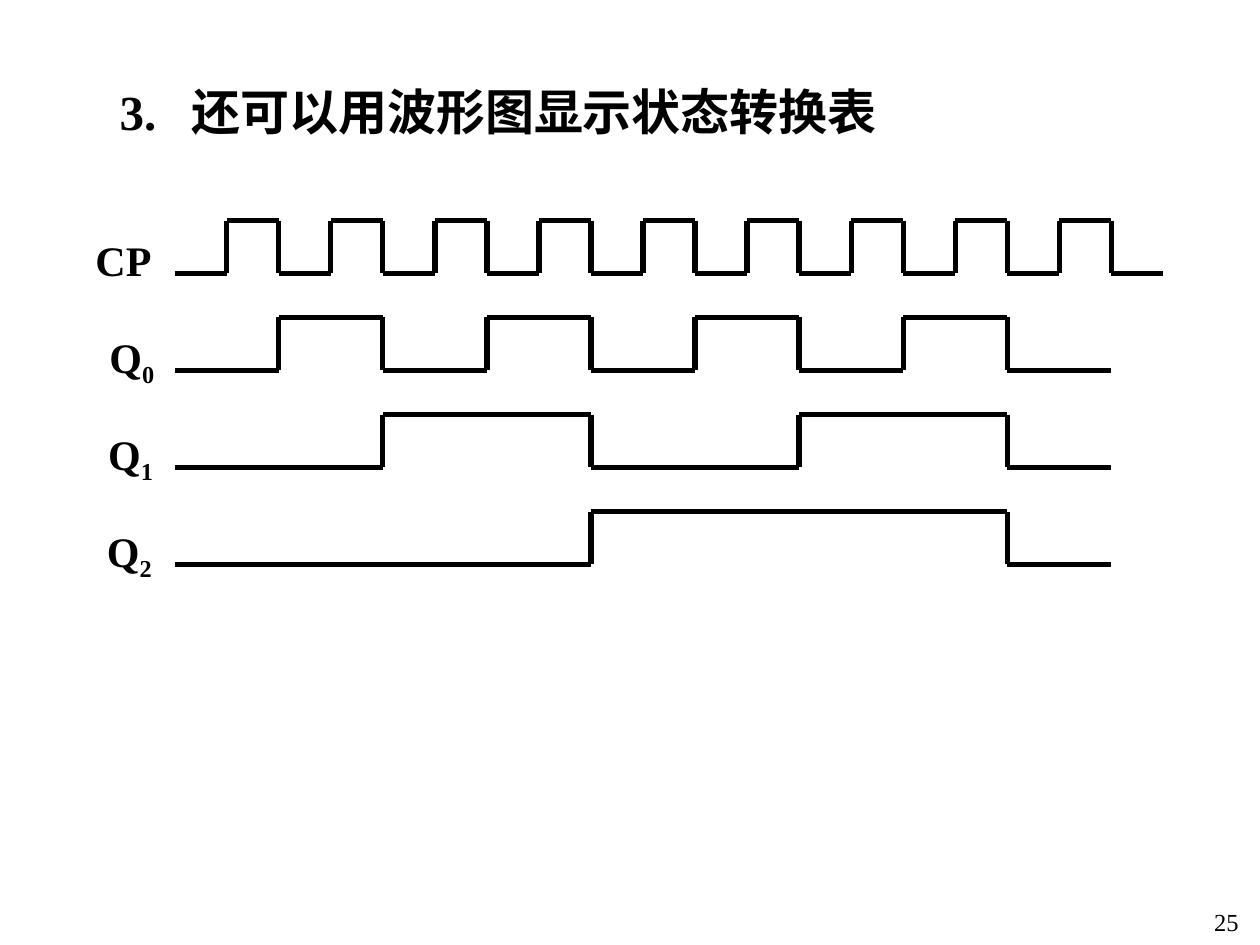
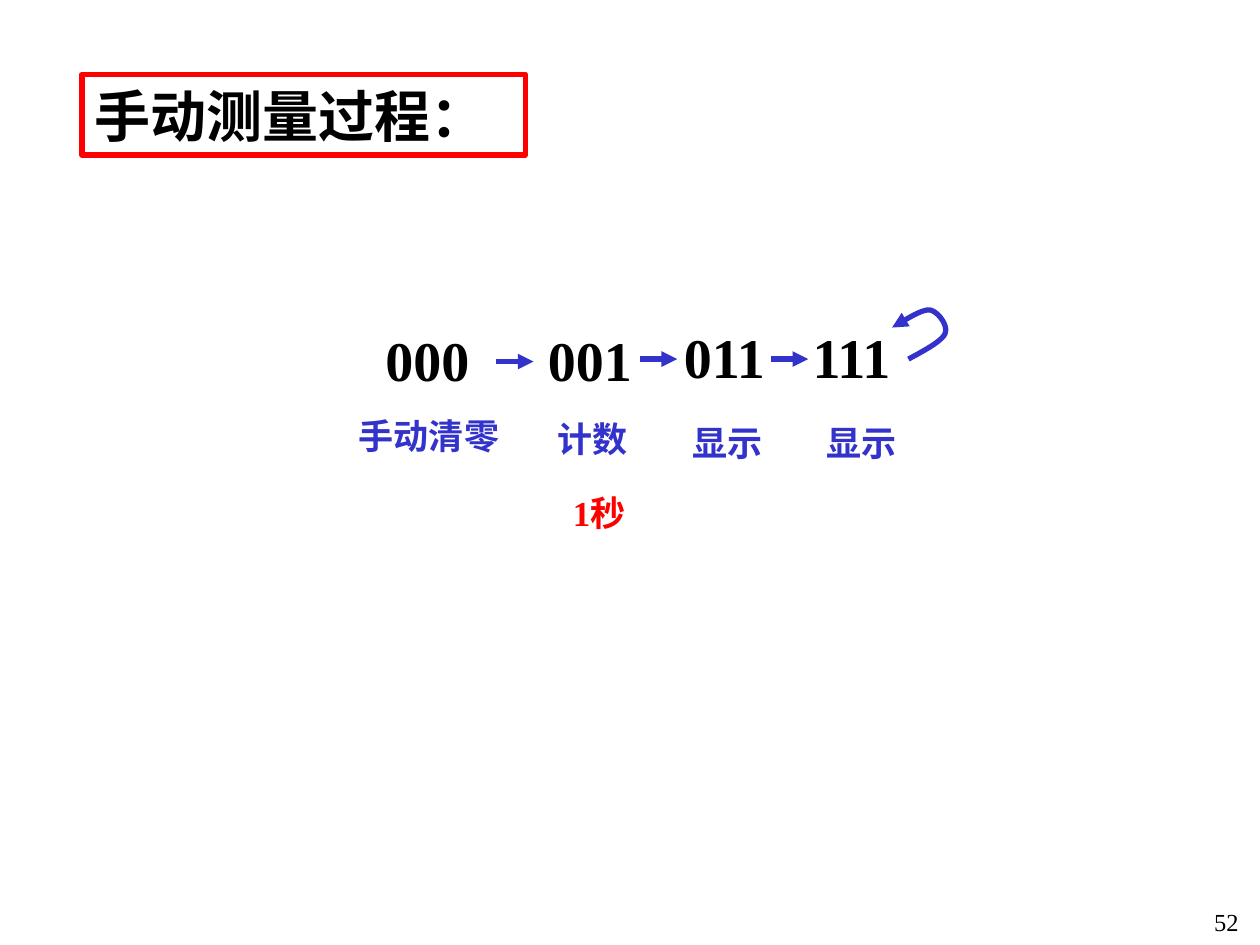
from collections.abc import Iterable
from dataclasses import dataclass

from lxml import etree
from pptx import Presentation
from pptx.dml.color import RGBColor
from pptx.enum.shapes import MSO_CONNECTOR as Connector
from pptx.enum.text import MSO_ANCHOR as Anchor, MSO_AUTO_SIZE as AutoSize, PP_ALIGN as Align
from pptx.oxml.ns import qn
from pptx.util import Inches, Pt

# Shared look: lengths are grid cells, 100 columns by 75 rows
SLIDE_WIDTH, SLIDE_HEIGHT = Inches(10), Inches(7.5)
CELL = SLIDE_WIDTH / 100
COLORS = {"ink": "000000", "blue": "3333CC", "red": "FF0000", "paper": "FFFFFF"}
FONT = "Times New Roman"
LINE_WIDTH = Pt(3)
TITLE_ONLY = 5


@dataclass(frozen=True)
class Box:
    left: float
    top: float
    width: float
    height: float


@dataclass(frozen=True)
class TextStyle:
    size: float
    color: str = "ink"
    bold: bool = True
    align: Align = Align.LEFT
    anchor: Anchor = Anchor.MIDDLE


@dataclass(frozen=True)
class Wave:
    name: str
    index: str
    label_left: float
    toggles: range
    end: int


@dataclass(frozen=True)
class State:
    code: str
    code_left: float
    code_top: float
    caption: str
    caption_box: Box


PAGE_NUMBER = TextStyle(14, bold=False, align=Align.RIGHT, anchor=Anchor.TOP)
WAVE_LABEL = TextStyle(24, anchor=Anchor.TOP)
STATE_CODE = TextStyle(32)
STATE_CAPTION = TextStyle(20, "blue")
DURATION = TextStyle(20, "red", align=Align.CENTER)

# Clock edges are evenly spaced; each output toggles at half the rate before it
FIRST_EDGE, EDGE_GAP = 18, 70.2 / 17
WAVE_TOP, WAVE_PITCH, WAVE_HEIGHT = 17.5, 7.7, 4.2
WAVES = [
    Wave("CP", "", 6.6, range(0, 18), 18),
    Wave("Q", "0", 7.7, range(1, 16, 2), 17),
    Wave("Q", "1", 7.6, range(3, 16, 4), 17),
    Wave("Q", "2", 7.5, range(7, 16, 8), 17),
]

STATES = [
    State("000", 29.6, 25.3, "手动清零", Box(27.5, 32.4, 14.8, 4.4)),
    State("001", 42.5, 25.3, "计数", Box(43.3, 32.6, 14.8, 4.4)),
    State("011", 53.3, 25.1, "显示", Box(54, 32.9, 9.6, 4.4)),
    State("111", 63.5, 25.1, "显示", Box(64.6, 32.9, 9.6, 4.4)),
]
ARROW_LENGTH = 2.95
ARROW_STARTS = [(39.4, 28.7), (50.8, 28.5), (61.2, 28.5)]
LOOP_START = (72.1, 28.5)
LOOP_CURVES = [
    ((73.4, 27.8), (74.7, 27.1), (75, 26.5)),
    ((75.3, 25.8), (74.4, 24.7), (73.8, 24.6)),
    ((73.1, 24.5), (71.4, 25.7), (70.8, 26)),
]
CURVE_STEPS = 12


def cells(count: float) -> int:
    return round(count * CELL)


def color(name: str) -> RGBColor:
    return RGBColor.from_string(COLORS[name])


def place(shape, box: Box) -> None:
    shape.left, shape.top = cells(box.left), cells(box.top)
    shape.width, shape.height = cells(box.width), cells(box.height)


def write(shape, runs: Iterable[str], style: TextStyle, tab: float = 0) -> None:
    """Fill a shape with one paragraph; every run after the first is a subscript."""
    frame = shape.text_frame
    frame.word_wrap = True
    frame.auto_size = AutoSize.NONE
    frame.vertical_anchor = style.anchor
    paragraph = frame.paragraphs[0]
    paragraph.alignment = style.align
    if tab:
        tabs = etree.SubElement(paragraph._p.get_or_add_pPr(), qn("a:tabLst"))
        etree.SubElement(tabs, qn("a:tab"), pos=str(cells(tab)), algn="l")
    for position, text in enumerate(runs):
        run = paragraph.add_run()
        run.text = text
        run.font.name, run.font.size, run.font.bold = FONT, Pt(style.size), style.bold
        run.font.color.rgb = color(style.color)
        properties = run._r.get_or_add_rPr()
        properties.set("lang", "zh-CN")
        if position:
            properties.set("baseline", "-25000")


def add_text(slide, box: Box, runs: Iterable[str], style: TextStyle):
    shape = slide.shapes.add_textbox(0, 0, 0, 0)
    place(shape, box)
    write(shape, runs, style)
    return shape


def set_line(shape, name: str, arrow: bool = False) -> None:
    shape.line.color.rgb = color(name)
    shape.line.width = LINE_WIDTH
    if arrow:
        etree.SubElement(shape.line._get_or_add_ln(), qn("a:tailEnd"), type="triangle")


def add_line(slide, start: tuple, end: tuple, name: str, arrow: bool = False) -> None:
    points = [cells(value) for value in (*start, *end)]
    connector = slide.shapes.add_connector(Connector.STRAIGHT, *points)
    set_line(connector, name, arrow)
    etree.SubElement(connector._element.spPr, qn("a:effectLst"))


def add_slide(presentation, title: str, box: Box, style: TextStyle, number: str, tab: float = 0):
    """Start a slide with its title and page number."""
    slide = presentation.slides.add_slide(presentation.slide_layouts[TITLE_ONLY])
    slide.background.fill.solid()
    slide.background.fill.fore_color.rgb = color("paper")
    place(slide.shapes.title, box)
    write(slide.shapes.title, [title], style, tab)
    add_text(slide, Box(78.5, 71.5, 20.8, 3.5), [number], PAGE_NUMBER)
    return slide


def edge_x(edge: int) -> float:
    return FIRST_EDGE + edge * EDGE_GAP


def add_wave(slide, wave: Wave, row: int) -> None:
    high = WAVE_TOP + row * WAVE_PITCH
    low = high + WAVE_HEIGHT
    runs = [text for text in (wave.name, wave.index) if text]
    add_text(slide, Box(wave.label_left, high + 0.6, 7, 5.6), runs, WAVE_LABEL)
    edges = [-1, *wave.toggles, wave.end]
    # Levels alternate, starting low
    for step, (left, right) in enumerate(zip(edges, edges[1:])):
        level = high if step % 2 else low
        add_line(slide, (edge_x(left), level), (edge_x(right), level), "ink")
    for edge in wave.toggles:
        add_line(slide, (edge_x(edge), high), (edge_x(edge), low), "ink")


def curve_points(start: tuple, curves: list) -> list[tuple[int, int]]:
    """Sample a chain of cubic curves."""
    points = []
    for first, second, end in curves:
        for step in range(1, CURVE_STEPS + 1):
            t = step / CURVE_STEPS
            weights = ((1 - t) ** 3, 3 * t * (1 - t) ** 2, 3 * t * t * (1 - t), t ** 3)
            controls = (start, first, second, end)
            points.append(tuple(
                cells(sum(weight * control[axis] for weight, control in zip(weights, controls)))
                for axis in (0, 1)))
        start = end
    return points


def add_loop(slide) -> None:
    builder = slide.shapes.build_freeform(*(cells(value) for value in LOOP_START))
    builder.add_line_segments(curve_points(LOOP_START, LOOP_CURVES), close=False)
    loop = builder.convert_to_shape()
    loop.shadow.inherit = False
    loop.fill.background()
    set_line(loop, "blue", arrow=True)


def build_waveforms(presentation) -> None:
    slide = add_slide(presentation, "3.\t还可以用波形图显示状态转换表", Box(8.5, 6, 83, 5.7),
                      TextStyle(28, anchor=Anchor.TOP), "25", tab=5.7)
    for row, wave in enumerate(WAVES):
        add_wave(slide, wave, row)


def build_measurement(presentation) -> None:
    slide = add_slide(presentation, "手动测量过程：", Box(6.5, 5.9, 35.2, 6.4),
                      TextStyle(32), "52")
    set_line(slide.shapes.title, "red")
    # States with their captions
    for state in STATES:
        add_text(slide, state.caption_box, [state.caption], STATE_CAPTION)
        add_text(slide, Box(state.code_left, state.code_top, 10.8, 6.4), [state.code], STATE_CODE)
    add_text(slide, Box(44.4, 36.8, 6.3, 7.7), ["1秒"], DURATION)
    # Transitions
    for left, top in ARROW_STARTS:
        add_line(slide, (left, top), (left + ARROW_LENGTH, top), "blue", arrow=True)
    add_loop(slide)


def main() -> None:
    presentation = Presentation()
    presentation.slide_width, presentation.slide_height = SLIDE_WIDTH, SLIDE_HEIGHT
    build_waveforms(presentation)
    build_measurement(presentation)
    presentation.save("out.pptx")


if __name__ == "__main__":
    main()
